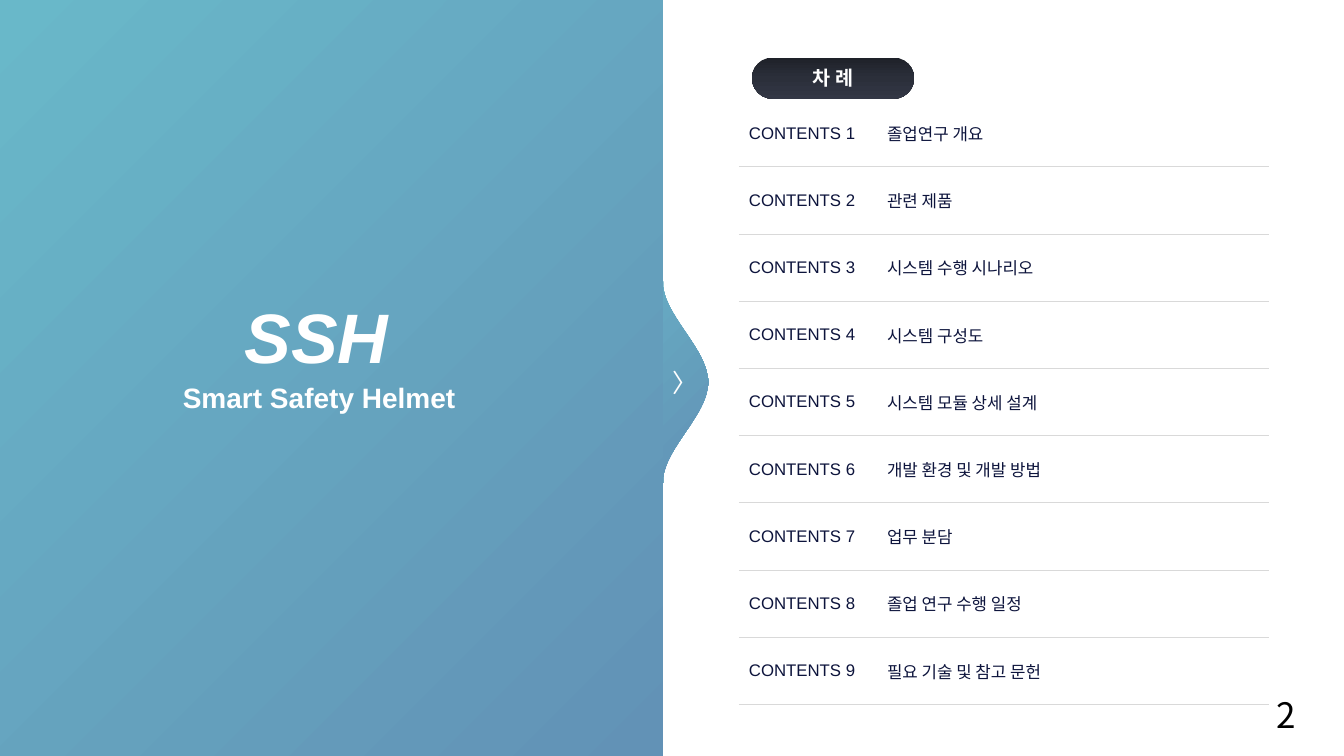
"""Build the contents slide of the Smart Safety Helmet presentation."""
from lxml.etree import SubElement
from pptx import Presentation
from pptx.dml.color import RGBColor
from pptx.enum.shapes import MSO_SHAPE
from pptx.enum.text import MSO_ANCHOR, PP_ALIGN
from pptx.oxml import parse_xml
from pptx.oxml.ns import nsdecls, qn
from pptx.util import Cm, Pt

TEAL = RGBColor(0x69, 0xB8, 0xC9)
BLUE = RGBColor(0x62, 0x92, 0xB6)
PILL_TOP = RGBColor(0x1E, 0x21, 0x29)
PILL_MIDDLE = RGBColor(0x2B, 0x2F, 0x3A)
PILL_BOTTOM = RGBColor(0x33, 0x37, 0x45)
WHITE = RGBColor(0xFF, 0xFF, 0xFF)
BLACK = RGBColor(0, 0, 0)
NAVY = RGBColor(0x0D, 0x14, 0x3C)
GREY = RGBColor(0xD9, 0xD9, 0xD9)
LATIN = "Arial"
KOREAN = "Noto Sans CJK KR"
NO_STYLE = "{2D5ABB26-0587-4C30-8999-92F81FD0307C}"


def paint(sp, colors, angle):
    sp.shadow.inherit = False
    sp.line.fill.background()
    sp.fill.gradient()
    sp.fill.gradient_angle = angle
    stops = sp._element.spPr.find(qn("a:gradFill")).find(qn("a:gsLst"))
    for stop in list(stops):
        stops.remove(stop)
    for i, color in enumerate(colors):
        stop = SubElement(stops, qn("a:gs"), pos=str(100000 * i // (len(colors) - 1)))
        SubElement(stop, qn("a:srgbClr"), val=str(color))


def write(tf, text, size, font, color, align=PP_ALIGN.LEFT, bold=False):
    p = tf.paragraphs[0]
    p.alignment = align
    r = p.add_run()
    r.text = text
    r.font.size = Pt(size)
    r.font.name = font
    r.font.bold = bold
    r.font.color.rgb = color
    SubElement(r._r.get_or_add_rPr(), qn("a:ea"), typeface=KOREAN)
    return r


prs = Presentation()
prs.slide_width, prs.slide_height = Cm(33.87), Cm(19.05)
s = prs.slides.add_slide(prs.slide_layouts[6])

tip_x, tip_y = 17.86, 9.63
curve = [(16.71, 7.21), (16.79, 7.95), (17.7, 8.71), (17.83, 9.45)]
upper = [(16.71, 7.09)]
for step in range(21):
    t = step / 20
    weights = [(1 - t) ** 3, 3 * t * (1 - t) ** 2, 3 * t ** 2 * (1 - t), t ** 3]
    upper.append(tuple(sum(w * pt[axis] for w, pt in zip(weights, curve)) for axis in (0, 1)))
lower = [(x, 2 * tip_y - y) for x, y in reversed(upper)]
outline = upper + [(tip_x, tip_y)] + lower + [(13.13, 12.17)]
builder = s.shapes.build_freeform(Cm(13.13), Cm(7.09))
builder.add_line_segments([(Cm(x), Cm(y)) for x, y in outline], close=True)
paint(builder.convert_to_shape(), [TEAL, BLUE], 315)

panel = s.shapes.add_shape(MSO_SHAPE.RECTANGLE, 0, 0, Cm(16.71), Cm(19.05))
paint(panel, [TEAL, BLUE], 315)

arrow = s.shapes.add_textbox(Cm(16.71), Cm(9.12), Cm(0.86), Cm(1.02))
arrow.text_frame.word_wrap = False
write(arrow.text_frame, "〉", 18, KOREAN, WHITE)

subtitle = s.shapes.add_textbox(Cm(2.57), Cm(9.47), Cm(10.95), Cm(1.12))
subtitle.text_frame.word_wrap = True
write(subtitle.text_frame, "Smart Safety Helmet", 20, LATIN, WHITE, PP_ALIGN.CENTER, True)

title = s.shapes.add_textbox(Cm(1.02), Cm(7.04), Cm(13.92), Cm(1.75))
tf = title.text_frame
tf.word_wrap = True
tf.vertical_anchor = MSO_ANCHOR.MIDDLE
write(tf, "SSH", 50, LATIN, WHITE, PP_ALIGN.CENTER, True).font.italic = True
tf.paragraphs[0].line_spacing = 1.5

pill = s.shapes.add_shape(MSO_SHAPE.ROUNDED_RECTANGLE, Cm(18.95), Cm(1.45), Cm(4.09), Cm(1.04))
pill.adjustments[0] = 0.5
paint(pill, [PILL_TOP, PILL_MIDDLE, PILL_BOTTOM], 270)
pill.text_frame.vertical_anchor = MSO_ANCHOR.MIDDLE
write(pill.text_frame, "차 례", 14, KOREAN, WHITE, PP_ALIGN.CENTER, True)

topics = ["졸업연구 개요", "관련 제품", "시스템 수행 시나리오", "시스템 구성도",
          "시스템 모듈 상세 설계", "개발 환경 및 개발 방법", "업무 분담",
          "졸업 연구 수행 일정", "필요 기술 및 참고 문헌"]
frame = s.shapes.add_table(len(topics), 2, Cm(18.62), Cm(2.51), Cm(13.36), Cm(15.24))
table = frame.table
table.first_row = table.horz_banding = False
table._tbl.tblPr.find(qn("a:tableStyleId")).text = NO_STYLE
table.columns[0].width, table.columns[1].width = Cm(3.48), Cm(9.88)
for row, topic in enumerate(topics):
    for col, text in enumerate([f"CONTENTS {row + 1}", topic]):
        cell = table.cell(row, col)
        cell.vertical_anchor = MSO_ANCHOR.MIDDLE
        r = write(cell.text_frame, text, 12, LATIN, NAVY)
        r._r.get_or_add_rPr().insert(0, parse_xml(
            f'<a:ln {nsdecls("a")} w="9525"><a:solidFill><a:srgbClr val="{NAVY}">'
            '<a:alpha val="30000"/></a:srgbClr></a:solidFill></a:ln>'))
        cell._tc.get_or_add_tcPr().append(parse_xml(
            f'<a:lnB {nsdecls("a")} w="6350"><a:solidFill><a:srgbClr val="{GREY}"/>'
            '</a:solidFill></a:lnB>'))
        cell.fill.background()

number = s.shapes.add_textbox(Cm(25.3), Cm(17.5), Cm(7.62), Cm(1.02))
number.text_frame.word_wrap = True
number.text_frame.vertical_anchor = MSO_ANCHOR.MIDDLE
write(number.text_frame, "2", 25, KOREAN, BLACK, PP_ALIGN.RIGHT)

prs.save("out.pptx")
